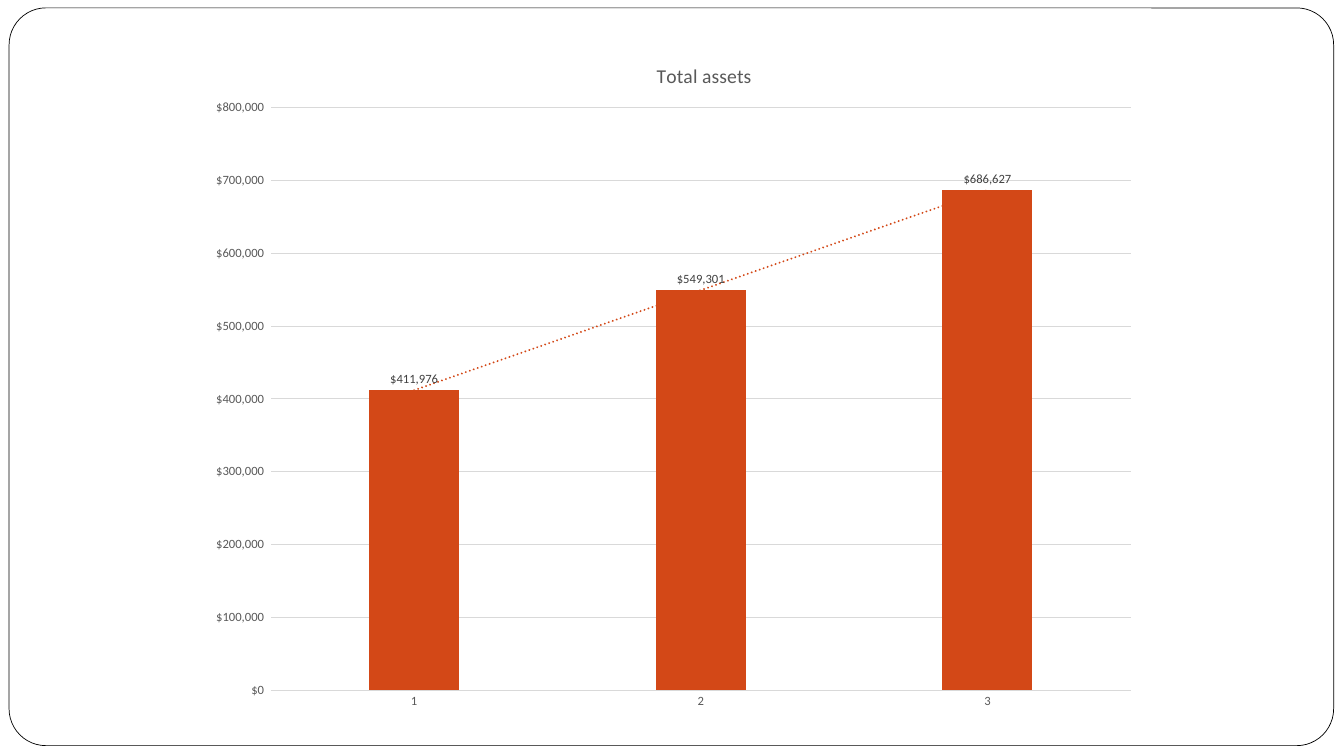
"""Build a slide with a column chart of total assets and its trend line."""
import lxml.etree
import pptx
import pptx.chart.data
import pptx.dml.color
import pptx.enum.chart
import pptx.enum.shapes
import pptx.oxml
import pptx.oxml.ns
import pptx.util

Cm = pptx.util.Cm
Pt = pptx.util.Pt
RGBColor = pptx.dml.color.RGBColor

WHITE = RGBColor(0xFF, 0xFF, 0xFF)
BLACK = RGBColor(0x00, 0x00, 0x00)
RUST = RGBColor(0xD3, 0x48, 0x17)
GREY = RGBColor(0x59, 0x59, 0x59)
DARK = RGBColor(0x40, 0x40, 0x40)
PALE = RGBColor(0xD9, 0xD9, 0xD9)

FACE = "Calibri"
MONEY = r'_("$"#,##0_);_("$"\(#,##0\);_(@_)'
TITLE = "Total assets"
ASSETS = {"1": 411976, "2": 549301, "3": 686627}


class Deck:
    """Hold the style and the current slide."""

    def __init__(self, show):
        """Add a blank slide to the show."""
        self.slide = show.slides.add_slide(show.slide_layouts[6])

    def font(self, font, size, color):
        """Style a font."""
        font.name = FACE
        font.size = Pt(size)
        font.bold = False
        font.color.rgb = color

    def line(self, line, color, width):
        """Style a line."""
        line.color.rgb = color
        line.width = Pt(width)

    def frame(self, *box):
        """Draw the rounded frame."""
        kind = pptx.enum.shapes.MSO_SHAPE.ROUNDED_RECTANGLE
        shape = self.slide.shapes.add_shape(kind, *map(Cm, box))
        shape.adjustments[0] = 0.05
        shape.shadow.inherit = False
        shape.fill.solid()
        shape.fill.fore_color.rgb = WHITE
        self.line(shape.line, BLACK, 0.5)

    def chart(self, title, values, *box):
        """Draw the column chart."""
        data = pptx.chart.data.CategoryChartData(number_format=MONEY)
        data.categories = list(values)
        data.add_series(title, list(values.values()))
        kind = pptx.enum.chart.XL_CHART_TYPE.COLUMN_CLUSTERED
        chart = self.slide.shapes.add_chart(kind, *map(Cm, box), data).chart
        self.font(chart.font, 10, BLACK)
        chart.has_legend = False
        chart.has_title = True
        text = chart.chart_title.text_frame
        text.text = title
        self.font(text.paragraphs[0].font, 14, GREY)
        self.place(chart.chart_title._element, 1, x=0.48, y=0.04)
        self.axes(chart)
        self.bars(chart.plots[0])
        area = chart.plots[0]._element.getparent()
        self.place(area, 0, x=0.08, y=0.11, w=0.9, h=0.84)

    def axes(self, chart):
        """Style both axes and the grid."""
        for axis in (chart.category_axis, chart.value_axis):
            axis.major_tick_mark = pptx.enum.chart.XL_TICK_MARK.NONE
            axis.minor_tick_mark = pptx.enum.chart.XL_TICK_MARK.NONE
            self.font(axis.tick_labels.font, 9, GREY)
        self.line(chart.category_axis.format.line, PALE, 0.75)
        value = chart.value_axis
        value.minimum_scale = 0
        value.maximum_scale = 800000
        value.major_unit = 100000
        value.format.line.fill.background()
        self.line(value.major_gridlines.format.line, PALE, 0.75)
        value.tick_labels.number_format = MONEY
        value.tick_labels.number_format_is_linked = False

    def bars(self, plot):
        """Style the columns and their labels."""
        plot.gap_width = 219
        plot.overlap = -27
        plot.vary_by_categories = False
        series = plot.series[0]
        series.format.fill.solid()
        series.format.fill.fore_color.rgb = RUST
        labels = series.data_labels
        labels.show_value = True
        labels.position = pptx.enum.chart.XL_LABEL_POSITION.OUTSIDE_END
        labels.number_format = MONEY
        labels.number_format_is_linked = False
        self.font(labels.font, 9, DARK)
        self.trend(series)

    def trend(self, series):
        """Add a dotted linear trend line to a series."""
        trend = pptx.oxml.parse_xml(
            f'<c:trendline {pptx.oxml.ns.nsdecls("c", "a")}>'
            f'<c:spPr><a:ln w="{Pt(1.5)}" cap="rnd"><a:solidFill>'
            f'<a:srgbClr val="{RUST}"/></a:solidFill>'
            '<a:prstDash val="sysDot"/></a:ln></c:spPr>'
            '<c:trendlineType val="linear"/><c:dispRSqr val="0"/>'
            '<c:dispEq val="0"/></c:trendline>')
        series._element.find(pptx.oxml.ns.qn("c:cat")).addprevious(trend)

    def place(self, part, index, **spots):
        """Give a chart part a manual layout in shares of the chart."""
        qn = pptx.oxml.ns.qn
        for old in part.findall(qn("c:layout")):
            part.remove(old)
        layout = part.makeelement(qn("c:layout"))
        part.insert(index, layout)
        manual = lxml.etree.SubElement(layout, qn("c:manualLayout"))
        modes = {"xMode": "edge", "yMode": "edge"}
        if "w" in spots:
            modes = {"layoutTarget": "inner", **modes}
        for name, value in {**modes, **spots}.items():
            lxml.etree.SubElement(manual, qn(f"c:{name}"), val=str(value))


def main():
    """Build and save the slide."""
    show = pptx.Presentation()
    show.slide_width = Cm(33.87)
    show.slide_height = Cm(19.05)
    deck = Deck(show)
    deck.frame(0.23, 0.2, 33.38, 18.59)
    deck.chart(TITLE, ASSETS, 4.9, 0.79, 24.08, 17.48)
    show.save("out.pptx")


if __name__ == "__main__":
    main()
